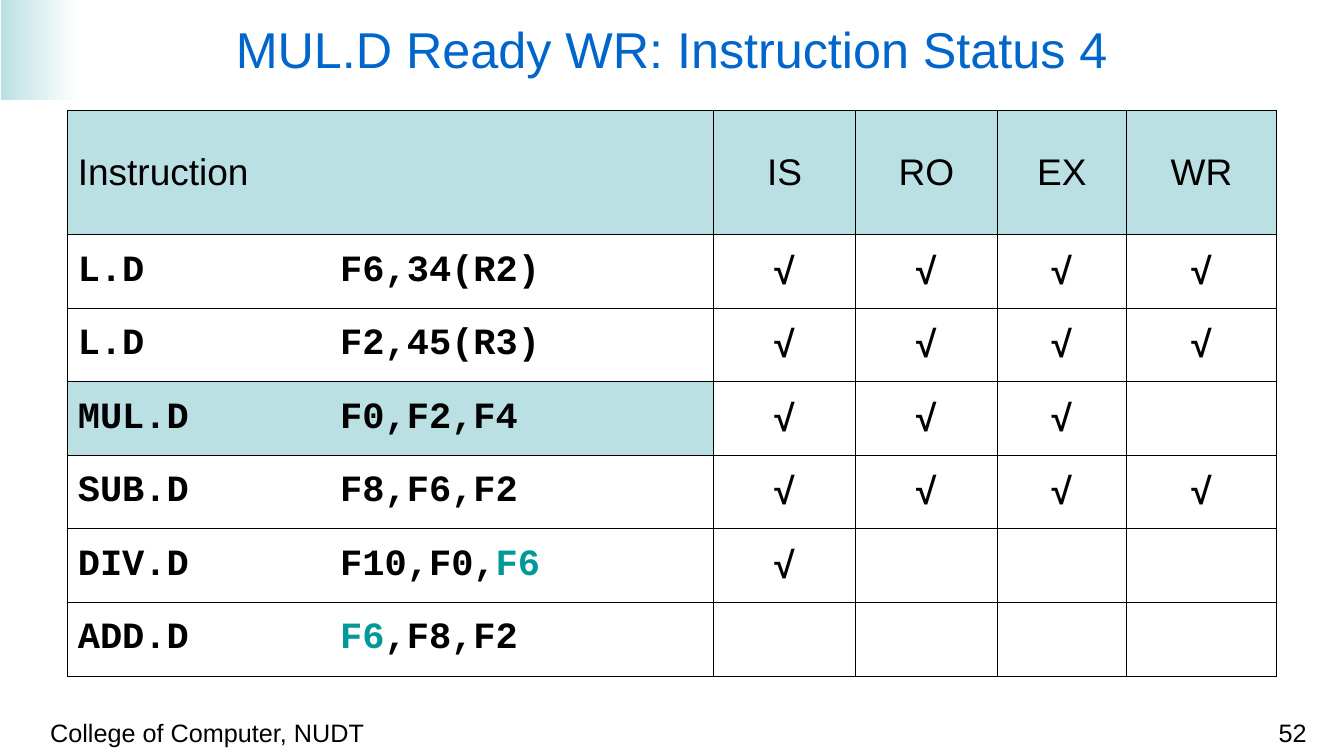
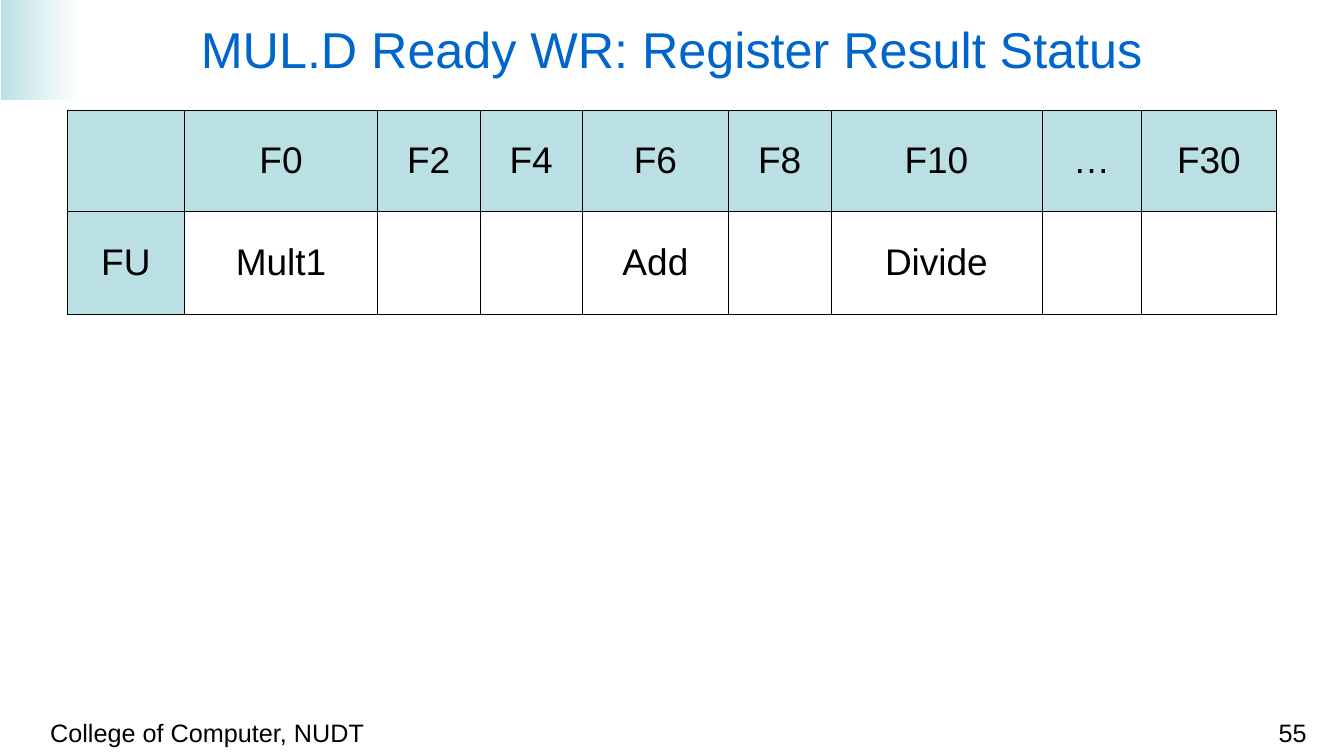
from lxml.etree import SubElement
from pptx import Presentation
from pptx.dml.color import RGBColor
from pptx.enum.shapes import MSO_SHAPE
from pptx.enum.text import MSO_ANCHOR, PP_ALIGN
from pptx.oxml.ns import qn
from pptx.util import Inches, Pt

WIDTH, HEIGHT = 12.6, 7.09
BLUE = RGBColor(0x00, 0x66, 0xCC)
TINT = RGBColor(0xBB, 0xE0, 0xE3)
TEAL = RGBColor(0x00, 0x99, 0x99)
BLACK = RGBColor(0x00, 0x00, 0x00)
WHITE = RGBColor(0xFF, 0xFF, 0xFF)
SANS, MONO = "Arial", "Courier New"
LEFT, CENTER, RIGHT = PP_ALIGN.LEFT, PP_ALIGN.CENTER, PP_ALIGN.RIGHT
JUSTIFY = PP_ALIGN.JUSTIFY
TAB = 1.23
EDGE = 0.45
TABLE_LEFT, TABLE_TOP, TABLE_WIDTH = 0.05 * WIDTH, 1.03, 0.9 * WIDTH
FOOT_TOP, FOOT_HEIGHT = 0.94 * HEIGHT, 0.04 * HEIGHT


def add_run(para, text, size, color=BLACK, face=SANS, bold=False):
    run = para.add_run()
    run.text = text
    font = run.font
    font.size, font.name, font.bold = Pt(size), face, bold
    font.color.rgb = color


def add_label(slide, box, text, size, align, color=BLACK, anchor=MSO_ANCHOR.TOP):
    frame = slide.shapes.add_textbox(*map(Inches, box)).text_frame
    frame.word_wrap = True
    frame.vertical_anchor = anchor
    frame.margin_left = frame.margin_right = Inches(0.12)
    frame.margin_top = frame.margin_bottom = Inches(0.06)
    para = frame.paragraphs[0]
    para.alignment = align
    add_run(para, text, size, color)


def add_band(slide, box):
    band = slide.shapes.add_shape(MSO_SHAPE.RECTANGLE, *map(Inches, box))
    band.shadow.inherit = False
    band.line.fill.background()
    band.fill.gradient()
    band.fill.gradient_angle = 0
    for stop, color in zip(band.fill.gradient_stops, (TINT, WHITE)):
        stop.color.rgb = color


def add_frame(deck, title, number):
    """Start a slide with the band, footers and title that all slides share."""
    slide = deck.slides.add_slide(deck.slide_layouts[6])
    add_band(slide, (0.01, 0, 0.73, 0.94))
    add_label(slide, (0.35, FOOT_TOP, 4.66, FOOT_HEIGHT),
              "College of Computer, NUDT", 17, LEFT)
    add_label(slide, (11.06, FOOT_TOP, 1.31, FOOT_HEIGHT),
              str(number), 17, RIGHT)
    add_label(slide, (0.25, 0.12, WIDTH - 0.5, 0.67), title, 34, CENTER,
              BLUE, MSO_ANCHOR.MIDDLE)
    return slide


def add_edges(cell):
    props = cell._tc.get_or_add_tcPr()
    for side in ("lnL", "lnR", "lnT", "lnB"):
        line = SubElement(props, qn("a:" + side), w=str(Pt(EDGE)))
        fill = SubElement(line, qn("a:solidFill"))
        SubElement(fill, qn("a:srgbClr"), val=str(BLACK))


def add_tabs(para):
    stops = SubElement(para._p.get_or_add_pPr(), qn("a:tabLst"))
    for step in range(1, 8):
        SubElement(stops, qn("a:tab"), pos=str(Inches(step * TAB)), algn="l")


def add_grid(slide, cols, rows, tinted):
    """Add a ruled table with a tinted first row and the other tinted cells."""
    box = TABLE_LEFT, TABLE_TOP, TABLE_WIDTH, sum(rows)
    table = slide.shapes.add_table(len(rows), len(cols), *map(Inches, box)).table
    table.first_row = table.horz_banding = False
    for col, share in zip(table.columns, cols):
        col.width = Inches(TABLE_WIDTH * share / sum(cols))
    for row, height in zip(table.rows, rows):
        row.height = Inches(height)
    for r in range(len(rows)):
        for c in range(len(cols)):
            cell = table.cell(r, c)
            cell.vertical_anchor = MSO_ANCHOR.MIDDLE
            add_edges(cell)
            cell.fill.solid()
            cell.fill.fore_color.rgb = TINT if r == 0 or (r, c) == tinted else WHITE
    return table


def fill_cell(cell, text, align=CENTER, bold=False):
    if text:
        para = cell.text_frame.paragraphs[0]
        para.alignment = align
        add_run(para, text, 25, bold=bold)


def fill_code(cell, parts):
    """Write code in a cell; parts are plain and marked text by turns."""
    para = cell.text_frame.paragraphs[0]
    para.alignment = JUSTIFY
    add_tabs(para)
    for i, part in enumerate(parts):
        add_run(para, part, 25, TEAL if i % 2 else BLACK, MONO, True)


def add_status(deck, title, number, stages, steps, active):
    """Add a slide that ticks the stages each instruction has passed."""
    slide = add_frame(deck, title, number)
    table = add_grid(slide, (6.06, 1.33, 1.33, 1.21, 1.41),
                     (1.17, *[0.69] * len(steps)), (active, 0))
    fill_cell(table.cell(0, 0), "Instruction", JUSTIFY)
    for c, stage in enumerate(stages, 1):
        fill_cell(table.cell(0, c), stage)
    for r, (parts, done) in enumerate(steps, 1):
        fill_code(table.cell(r, 0), parts)
        for c in range(1, done + 1):
            fill_cell(table.cell(r, c), "√", bold=True)


def add_result(deck, title, number, names, units):
    """Add a slide that shows which unit will write each register."""
    slide = add_frame(deck, title, number)
    table = add_grid(slide, (1.1, 1.81, 0.96, 0.96, 1.37, 0.96, 1.98, 0.93, 1.27),
                     (0.95, 0.97), (1, 0))
    fill_cell(table.cell(1, 0), "FU")
    for c, name in enumerate(names, 1):
        fill_cell(table.cell(0, c), name)
        fill_cell(table.cell(1, c), units.get(name))


def main():
    deck = Presentation()
    deck.slide_width, deck.slide_height = Inches(WIDTH), Inches(HEIGHT)
    steps = [
        (("L.D \t\tF6,34(R2)",), 4),
        (("L.D \t\tF2,45(R3)",), 4),
        (("MUL.D \tF0,F2,F4",), 3),
        (("SUB.D \tF8,F6,F2",), 4),
        (("DIV.D \tF10,F0,", "F6"), 1),
        (("ADD.D \t", "F6", ",F8,F2"), 0),
    ]
    add_status(deck, "MUL.D Ready WR: Instruction Status 4", 52,
               ("IS", "RO", "EX", "WR"), steps, 3)
    add_result(deck, "MUL.D Ready WR: Register Result Status", 55,
               ("F0", "F2", "F4", "F6", "F8", "F10", "…", "F30"),
               {"F0": "Mult1", "F6": "Add", "F10": "Divide"})
    deck.save("out.pptx")


if __name__ == "__main__":
    main()
